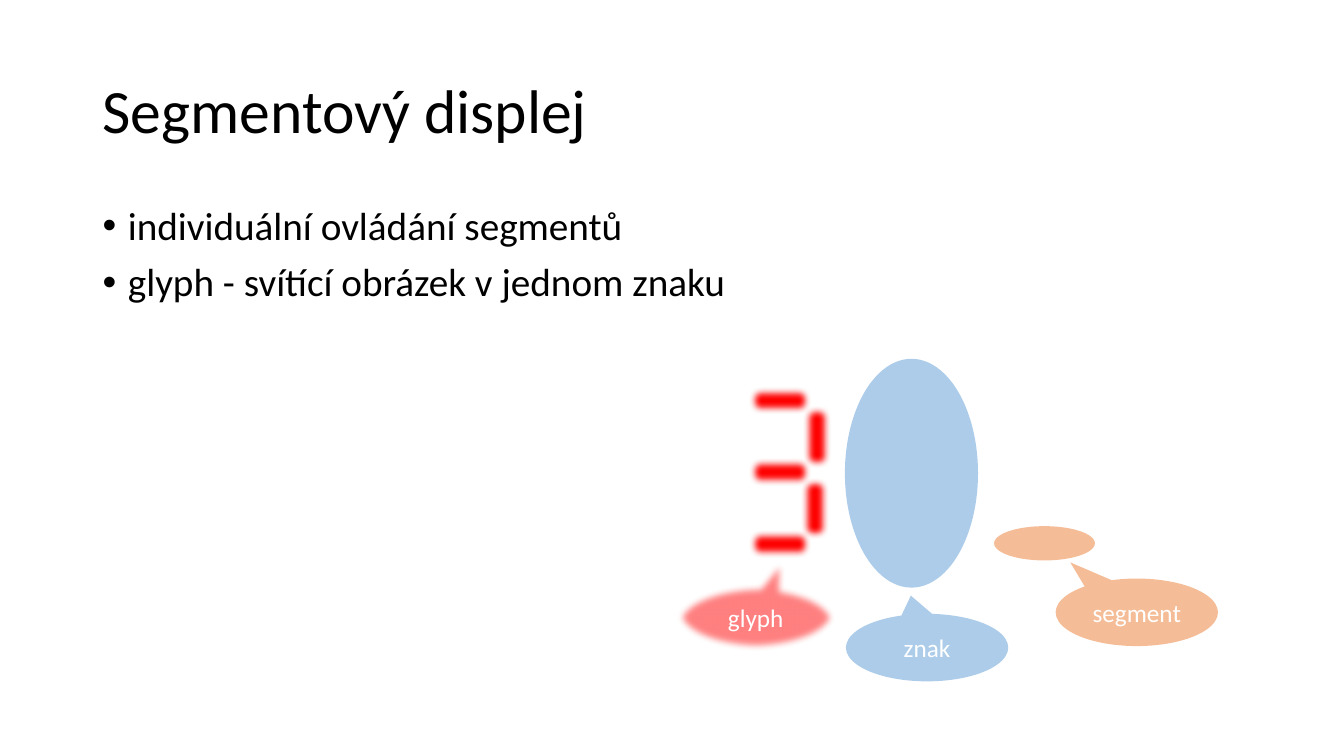
from dataclasses import dataclass

from lxml.etree import SubElement
from pptx import Presentation
from pptx.dml.color import RGBColor
from pptx.enum.shapes import MSO_SHAPE as Shape
from pptx.enum.text import MSO_ANCHOR as Anchor, PP_ALIGN as Align
from pptx.oxml.ns import qn
from pptx.util import Inches, Pt


@dataclass(frozen=True)
class Theme:
    font: str = "Calibri"
    ink: str = "000000"
    light: str = "FFFFFF"
    orange: str = "ED7D31"
    blue: str = "5B9BD5"
    red: str = "FF0000"
    title_size: int = 44
    body_size: int = 28
    label_size: int = 18


theme = Theme()


def write(box, lines, size, color, align=Align.LEFT, anchor=Anchor.MIDDLE,
          line_spacing=None, space_before=0, bullet=None):
    """Fill the box with one paragraph per line, bulleted if asked."""
    frame = box.text_frame
    frame.word_wrap = True
    frame.vertical_anchor = anchor
    for index, line in enumerate(lines):
        para = frame.add_paragraph() if index else frame.paragraphs[0]
        if bullet:
            properties = para._p.get_or_add_pPr()
            properties.set("marL", str(Inches(0.25)))
            properties.set("indent", str(Inches(-0.25)))
            SubElement(properties, qn("a:buFont"), typeface="Arial")
            SubElement(properties, qn("a:buChar"), char=bullet)
        para.alignment = align
        if line_spacing:
            para.line_spacing = line_spacing
        if index:
            para.space_before = Pt(space_before)
        span = para.add_run()
        span.text = line
        span.font.name = theme.font
        span.font.size = Pt(size)
        span.font.color.rgb = RGBColor.from_string(color)


def add_figure(kind, place, color, opacity=100, outline=None, soft_edge=0):
    """Draw a filled preset shape; outline and soft_edge are in points."""
    figure = page.shapes.add_shape(kind, *map(Inches, place))
    figure.shadow.inherit = False
    figure.fill.solid()
    figure.fill.fore_color.rgb = RGBColor.from_string(color)
    if opacity < 100:
        fill_color = figure._element.spPr.find(qn("a:solidFill"))[0]
        SubElement(fill_color, qn("a:alpha"), val=str(opacity * 1000))
    if outline:
        figure.line.color.rgb = RGBColor.from_string(color)
        figure.line.width = Pt(outline)
    else:
        figure.line.fill.background()
    if soft_edge:
        effects = figure._element.spPr.find(qn("a:effectLst"))
        SubElement(effects, qn("a:softEdge"), rad=str(Pt(soft_edge)))
    return figure


deck = Presentation()
deck.slide_width, deck.slide_height = Inches(13.33), Inches(7.5)
page = deck.slides.add_slide(deck.slide_layouts[6])

title = page.shapes.add_textbox(Inches(0.92), Inches(0.4), Inches(11.5), Inches(1.45))
write(title, ["Segmentový displej"], theme.title_size, theme.ink, line_spacing=0.9)

body = page.shapes.add_textbox(Inches(0.92), Inches(2), Inches(11.5), Inches(4.76))
write(body, ["individuální ovládání segmentů", "glyph - svítící obrázek v jednom znaku"],
      theme.body_size, theme.ink, anchor=Anchor.TOP,
      line_spacing=0.9, space_before=10, bullet="•")

# Highlighted segment and character
for place, color in [((9.86, 5.22, 1, 0.34), theme.orange),
                     ((8.38, 3.56, 1.32, 2.27), theme.blue)]:
    add_figure(Shape.OVAL, place, color, opacity=50)

# Lit segments forming the digit 3
lit_segments = [(7.43, 5.26, 0), (7.43, 4.55, 0), (7.43, 3.84, 0),
                (7.78, 4.91, 270), (7.8, 4.2, 270)]
for left, top, rotation in lit_segments:
    segment = add_figure(Shape.ROUNDED_RECTANGLE, (left, top, 0.61, 0.27),
                         theme.red, outline=1, soft_edge=5)
    segment.rotation = rotation

# Callouts: label, left, top, pointer offset, colour, outline, soft edge
callouts = [
    ("segment", 10.47, 5.74, (-0.41, -0.74), theme.orange, None, 0),
    ("znak", 8.39, 6.09, (-0.1, -0.77), theme.blue, None, 0),
    ("glyph", 6.69, 5.79, (0.19, -1.08), theme.red, 0.75, 5),
]
for label, left, top, pointer, color, outline, soft_edge in callouts:
    callout = add_figure(Shape.OVAL_CALLOUT, (left, top, 1.61, 0.67), color,
                         opacity=50, outline=outline, soft_edge=soft_edge)
    callout.adjustments[0], callout.adjustments[1] = pointer
    write(callout, [label], theme.label_size, theme.light, align=Align.CENTER)

deck.save("out.pptx")
